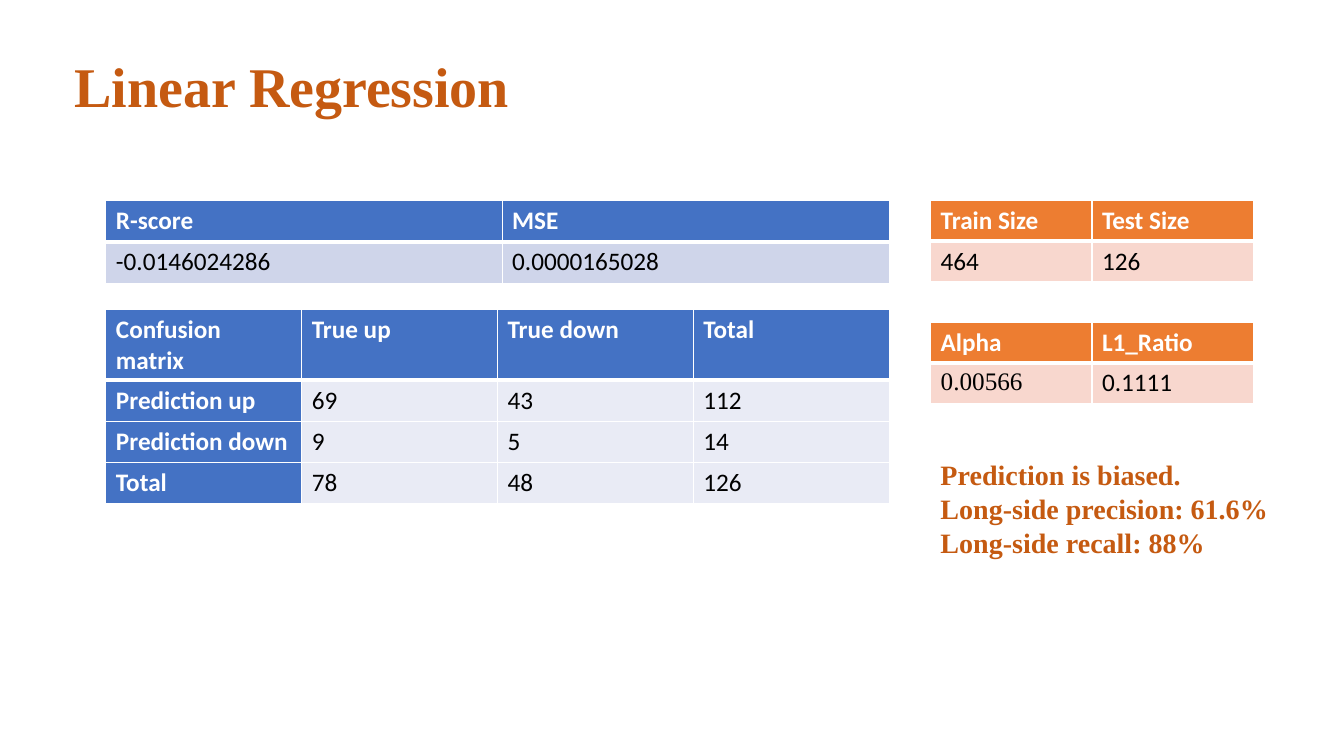
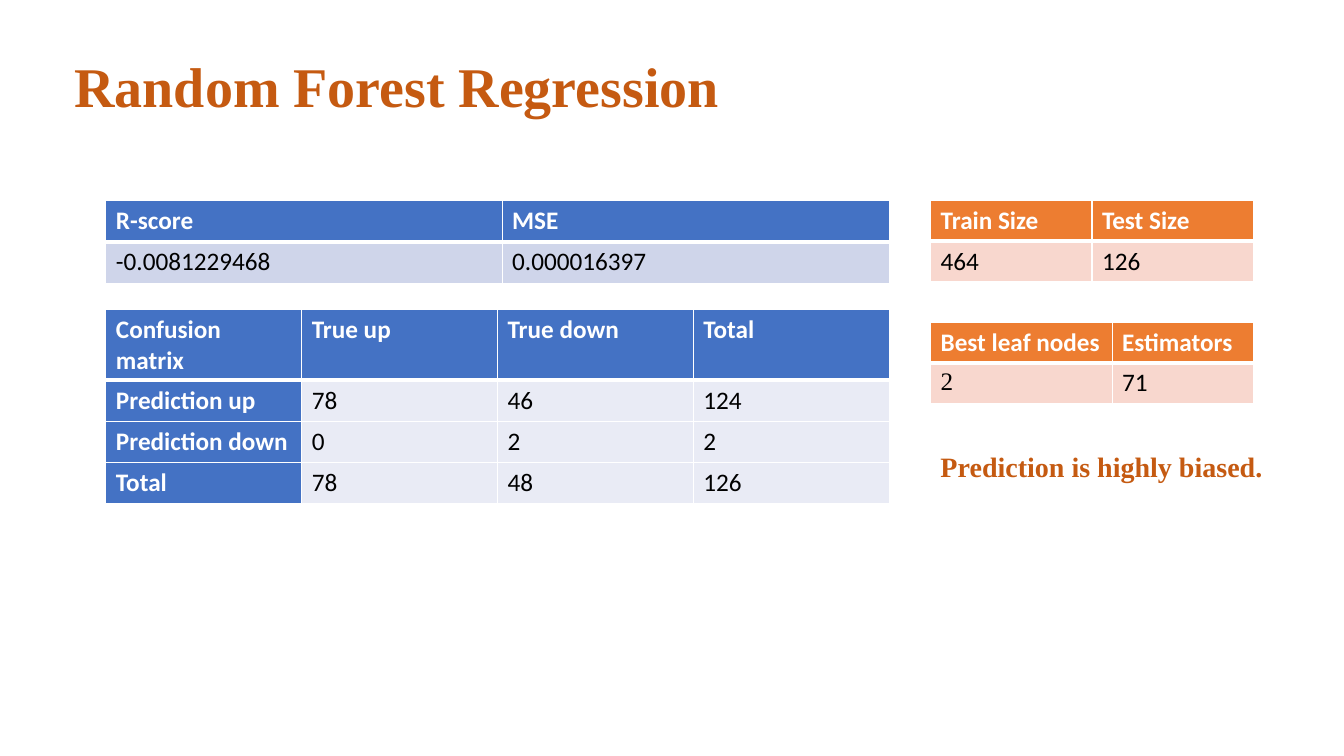
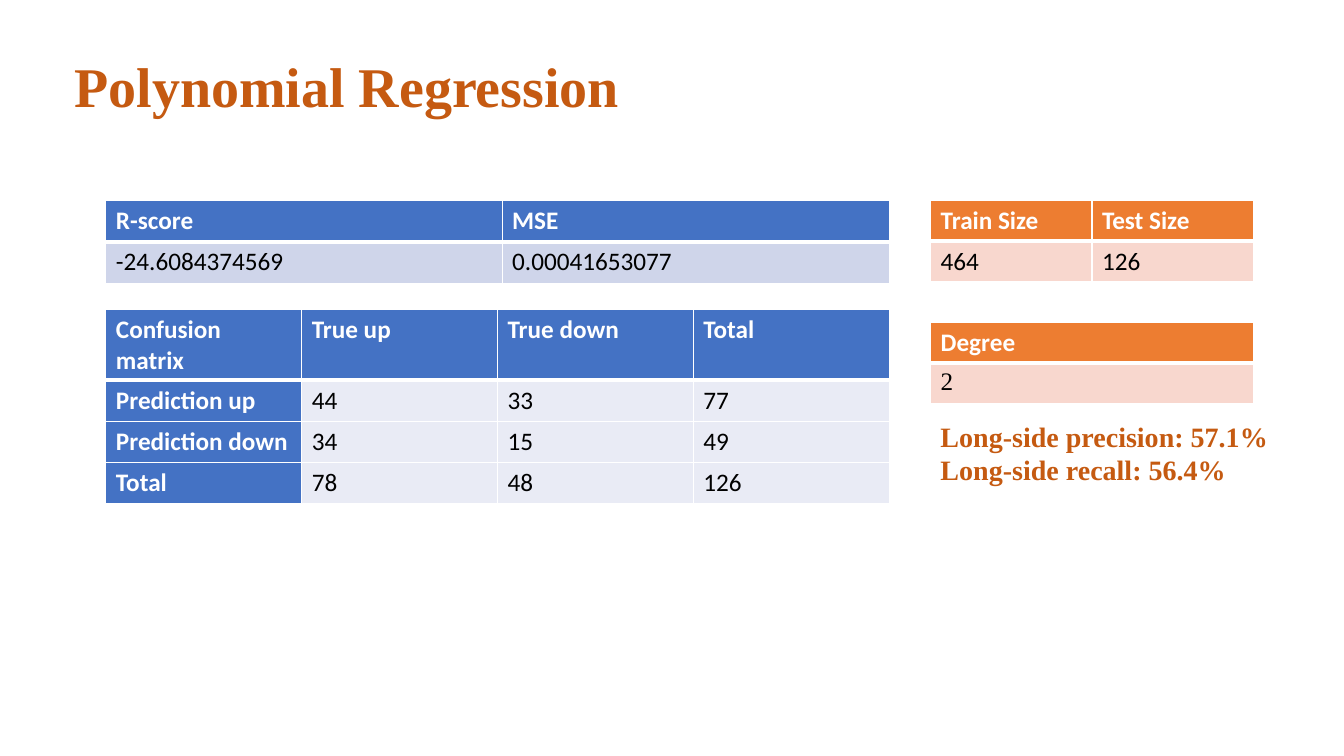
from dataclasses import dataclass

from pptx import Presentation
from pptx.dml.color import RGBColor
from pptx.enum.text import MSO_AUTO_SIZE as AutoSize
from pptx.oxml.ns import qn
from pptx.util import Inches, Pt
from lxml.etree import SubElement


@dataclass(frozen=True)
class Theme:
    accent: str = "C55A11"
    blue: str = "4472C4"
    blue_body: str = "CFD5EA"
    blue_pale: str = "E9EBF5"
    orange: str = "ED7D31"
    orange_body: str = "F8D7CE"
    white: str = "FFFFFF"
    black: str = "000000"
    serif: str = "Times New Roman"
    sans: str = "Calibri"
    title_size: int = 40
    note_size: int = 20
    table_size: int = 18
    thin: int = 1
    thick: int = 3


LEFT, RIGHT, TOP = 1.05, 9.23, 1.99
BLUE_ROW, ORANGE_ROW = 0.41, 0.4
MATRIX_HEADER = 0.69
MATRIX_COLUMN = 7.77 / 4

MODELS = [
    {
        "title": "Linear Regression",
        "scores": ["-0.0146024286", "0.0000165028"],
        "counts": [[69, 43], [9, 5]],
        "parameters": [["Alpha", "L1_Ratio"], ["0.00566", "0.1111"]],
        "parameter_widths": [1.6, 1.6],
        "notes": [
            (4.49, 0.44, ["Prediction is biased."]),
            (4.83, 0.77, ["Long-side precision: 61.6%", "Long-side recall: 88%"]),
        ],
    },
    {
        "title": "Random Forest Regression",
        "scores": ["-0.0081229468", "0.000016397"],
        "counts": [[78, 46], [0, 2]],
        "parameters": [["Best leaf nodes", "Estimators"], ["2", "71"]],
        "parameter_widths": [1.8, 1.4],
        "notes": [(4.41, 0.44, ["Prediction is highly biased."])],
    },
    {
        "title": "Polynomial Regression",
        "scores": ["-24.6084374569", "0.00041653077"],
        "counts": [[44, 33], [34, 15]],
        "parameters": [["Degree"], ["2"]],
        "parameter_widths": [3.2],
        "notes": [
            (4.11, 0.77, ["Long-side precision: 57.1%", "Long-side recall: 56.4%"]),
        ],
    },
]


class Deck:
    """Holds the style and the current slide, and draws each kind of element."""

    def __init__(self, theme):
        self.theme = theme
        self.presentation = Presentation()
        self.presentation.slide_width = Inches(13.33)
        self.presentation.slide_height = Inches(7.5)
        self.slide = None

    def new_slide(self, title):
        blank = self.presentation.slide_layouts[6]
        self.slide = self.presentation.slides.add_slide(blank)
        self.text(0.64, 0.46, 10.7, 0.77, [title], self.theme.title_size)

    def style(self, paragraph, size, font, color, bold):
        formats = {"size": Pt(size), "name": font, "bold": bold}
        for run in paragraph.runs:
            for attribute, value in formats.items():
                setattr(run.font, attribute, value)
            run.font.color.rgb = RGBColor.from_string(color)

    def text(self, left, top, width, height, lines, size):
        box = self.slide.shapes.add_textbox(
            Inches(left), Inches(top), Inches(width), Inches(height)
        )
        frame = box.text_frame
        frame.text = "\n".join(lines)
        for attribute, value in {
            "word_wrap": True,
            "auto_size": AutoSize.SHAPE_TO_FIT_TEXT,
        }.items():
            setattr(frame, attribute, value)
        for paragraph in frame.paragraphs:
            self.style(paragraph, size, self.theme.serif, self.theme.accent, True)

    def borders(self, cell, top, bottom):
        properties = cell._tc.get_or_add_tcPr()
        thin = self.theme.thin
        for side, width in {"L": thin, "R": thin, "T": top, "B": bottom}.items():
            line = SubElement(properties, qn(f"a:ln{side}"), w=str(Pt(width)))
            fill = SubElement(line, qn("a:solidFill"))
            SubElement(fill, qn("a:srgbClr"), val=self.theme.white)

    def table(self, left, top, widths, heights, rows, head, body,
              head_column=False, serif_cells=()):
        theme = self.theme
        grid = self.slide.shapes.add_table(
            len(rows), len(widths), Inches(left), Inches(top),
            Inches(sum(widths)), Inches(sum(heights)),
        ).table
        for attribute, value in {
            "first_row": True,
            "first_col": head_column,
            "horz_banding": False,
        }.items():
            setattr(grid, attribute, value)
        for column, width in zip(grid.columns, widths):
            column.width = Inches(width)
        for r, (values, height) in enumerate(zip(rows, heights)):
            grid.rows[r].height = Inches(height)
            for c, value in enumerate(values):
                cell = grid.cell(r, c)
                is_head = r == 0 or (head_column and c == 0)
                cell.text = str(value)
                self.borders(
                    cell,
                    theme.thick if r == 1 else theme.thin,
                    theme.thick if r == 0 else theme.thin,
                )
                cell.fill.solid()
                cell.fill.fore_color.rgb = RGBColor.from_string(head if is_head else body)
                self.style(
                    cell.text_frame.paragraphs[0],
                    theme.table_size,
                    theme.serif if (r, c) in serif_cells else theme.sans,
                    theme.white if is_head else theme.black,
                    is_head,
                )

    def blue_table(self, top, widths, heights, rows, body, **options):
        self.table(LEFT, top, widths, heights, rows, self.theme.blue, body, **options)

    def orange_table(self, top, widths, rows, **options):
        self.table(RIGHT, top, widths, [ORANGE_ROW] * 2, rows,
                   self.theme.orange, self.theme.orange_body, **options)

    def confusion_matrix(self, counts):
        totals = [sum(column) for column in zip(*counts)]
        labels = ["Prediction up", "Prediction down", "Total"]
        rows = [["Confusion matrix", "True up", "True down", "Total"]]
        for label, values in zip(labels, [*counts, totals]):
            rows.append([label, *values, sum(values)])
        self.blue_table(3.07, [MATRIX_COLUMN] * 4, [MATRIX_HEADER] + [BLUE_ROW] * 3,
                        rows, self.theme.blue_pale, head_column=True)

    def model(self, title, scores, counts, parameters, parameter_widths, notes):
        self.new_slide(title)
        self.blue_table(TOP, [3.93, 3.84], [BLUE_ROW] * 2,
                        [["R-score", "MSE"], scores], self.theme.blue_body)
        self.confusion_matrix(counts)
        self.orange_table(TOP, [1.6, 1.6], [["Train Size", "Test Size"], [464, 126]])
        self.orange_table(3.2, parameter_widths, parameters, serif_cells=[(1, 0)])
        for top, height, lines in notes:
            self.text(RIGHT, top, 4.1, height, lines, self.theme.note_size)


def main():
    deck = Deck(Theme())
    for model in MODELS:
        deck.model(**model)
    deck.presentation.save("out.pptx")


if __name__ == "__main__":
    main()
